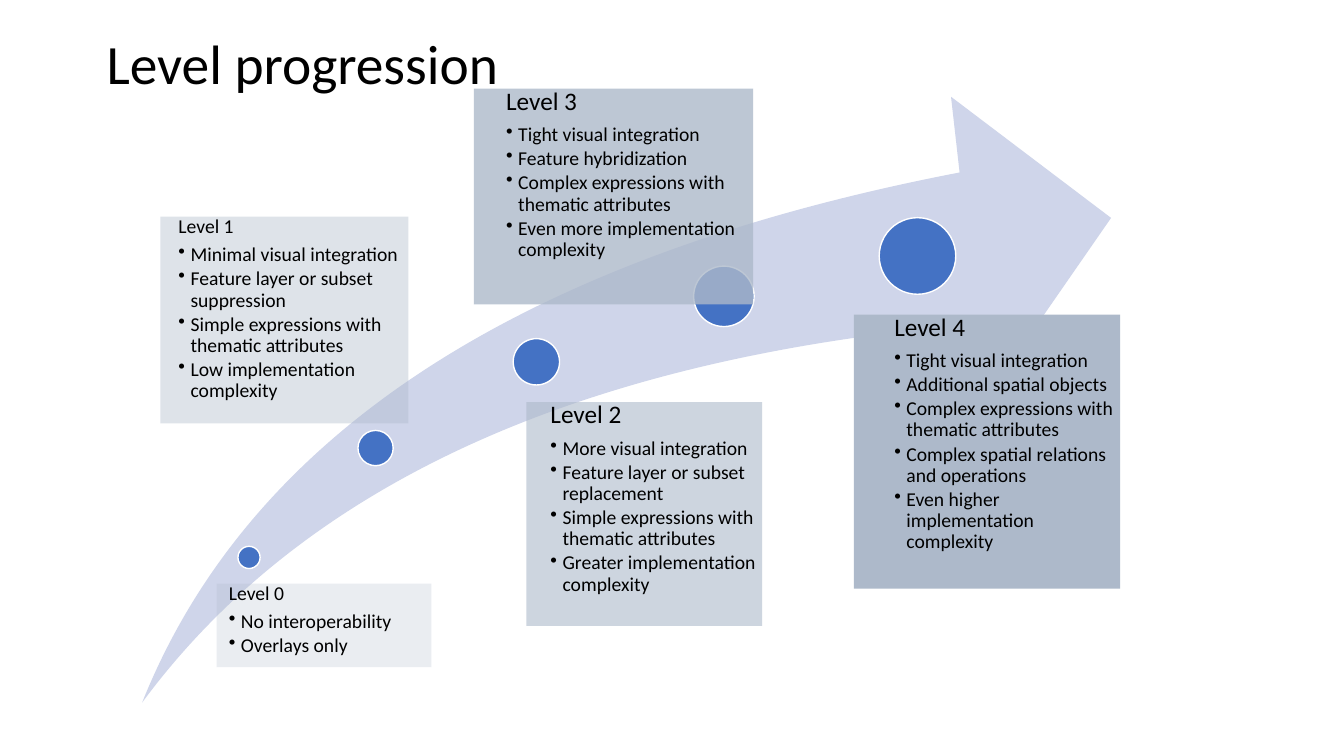
from pptx import Presentation
from pptx.dml.color import RGBColor
from pptx.enum.shapes import MSO_SHAPE
from pptx.enum.text import MSO_ANCHOR, PP_ALIGN
from pptx.oxml.ns import qn
from pptx.util import Inches, Pt
from lxml import etree

SWOOSH, OVAL, RECT = MSO_SHAPE.SWOOSH_ARROW, MSO_SHAPE.OVAL, MSO_SHAPE.RECTANGLE
TOP, MIDDLE = MSO_ANCHOR.TOP, MSO_ANCHOR.MIDDLE
LEFT = PP_ALIGN.LEFT

FONT = "Calibri"
BODY_SIZE = 14
BULLET_INDENT = 0.12
COLORS = {
    "arrow": "CFD5EA",
    "dot": "4472C4",
    "dot_line": "FFFFFF",
    "panel": "ADB9CA",
    "text": "000000",
}

# Heading, heading size, dot box, panel box, panel opacity %, left inset, bullets
LEVELS = [
    ("Level 0", 14, (2.36, 5.42, 0.22, 0.22), (2.15, 5.79, 2.13, 0.83), 25, 0.12,
     ["No interoperability", "Overlays only"]),
    ("Level 1", 14, (3.55, 4.27, 0.35, 0.35), (1.59, 2.15, 2.46, 2.05), 40, 0.18,
     ["Minimal visual integration", "Feature layer or subset suppression",
      "Simple expressions with thematic attributes", "Low implementation complexity"]),
    ("Level 2", 18, (5.09, 3.36, 0.46, 0.46), (5.22, 3.99, 2.34, 2.22), 60, 0.24,
     ["More visual integration", "Feature layer or subset replacement",
      "Simple expressions with thematic attributes", "Greater implementation complexity"]),
    ("Level 3", 18, (6.88, 2.64, 0.6, 0.6), (4.7, 0.88, 2.77, 2.14), 80, 0.32,
     ["Tight visual integration", "Feature hybridization",
      "Complex expressions with thematic attributes",
      "Even more implementation complexity"]),
    ("Level 4", 18, (8.72, 2.16, 0.76, 0.76), (8.47, 3.12, 2.64, 2.72), 100, 0.4,
     ["Tight visual integration", "Additional spatial objects",
      "Complex expressions with thematic attributes",
      "Complex spatial relations and operations",
      "Even higher implementation complexity"]),
]


def write(p, text, size, space_after=0, bullet=False):
    """Fill a paragraph; space_after is a share of the font size."""
    p.alignment = LEFT
    p.line_spacing = 0.9
    p.space_before = Pt(0)
    p.space_after = Pt(size * space_after)
    if bullet:
        pPr = p._p.get_or_add_pPr()
        pPr.set("marL", str(Inches(BULLET_INDENT)))
        pPr.set("indent", str(-Inches(BULLET_INDENT)))
        etree.SubElement(pPr, qn("a:buChar"), char="•")
    r = p.add_run()
    r.text = text
    r.font.name = FONT
    r.font.size = Pt(size)
    r.font.color.rgb = RGBColor.from_string(COLORS["text"])


class SlideBuilder:
    def __init__(self, slide):
        self.s = slide

    def shape(self, kind, box, fill, line=None, opacity=100):
        sp = self.s.shapes.add_shape(kind, *map(Inches, box))
        sp.shadow.inherit = False
        sp.fill.solid()
        sp.fill.fore_color.rgb = RGBColor.from_string(COLORS[fill])
        if opacity < 100:
            clr = sp.fill._xPr.find(qn("a:solidFill"))[0]
            etree.SubElement(clr, qn("a:alpha"), val=str(opacity * 1000))
        if line:
            sp.line.color.rgb = RGBColor.from_string(COLORS[line])
            sp.line.width = Pt(1)
        else:
            sp.line.fill.background()
        return sp

    def title(self, text, box):
        tf = self.s.shapes.add_textbox(*map(Inches, box)).text_frame
        tf.word_wrap = True
        tf.vertical_anchor = MIDDLE
        write(tf.paragraphs[0], text, 39.6)

    def arrow(self, box):
        sp = self.shape(SWOOSH, box, "arrow")
        sp.adjustments[0] = sp.adjustments[1] = 0.25

    def dot(self, box):
        self.shape(OVAL, box, "dot", line="dot_line")

    def panel(self, box, opacity, inset, heading, size, bullets):
        tf = self.shape(RECT, box, "panel", opacity=opacity).text_frame
        tf.word_wrap = True
        tf.vertical_anchor = TOP
        tf.margin_left = Inches(inset)
        tf.margin_top = tf.margin_right = tf.margin_bottom = 0
        write(tf.paragraphs[0], heading, size, space_after=0.35)
        for text in bullets:
            write(tf.add_paragraph(), text, BODY_SIZE, space_after=0.15, bullet=True)


def main():
    prs = Presentation()
    prs.slide_width, prs.slide_height = Inches(13.33), Inches(7.5)
    s = SlideBuilder(prs.slides.add_slide(prs.slide_layouts[6]))

    # Rising arrow behind the levels
    s.arrow((1.41, 0.96, 9.61, 6.01))

    # A dot on the arrow and a panel for each level
    for heading, size, dot, box, opacity, inset, bullets in LEVELS:
        s.dot(dot)
        s.panel(box, opacity, inset, heading, size, bullets)

    # Title
    s.title("Level progression", (0.96, 0.31, 9, 0.7))

    prs.save("out.pptx")


if __name__ == "__main__":
    main()
